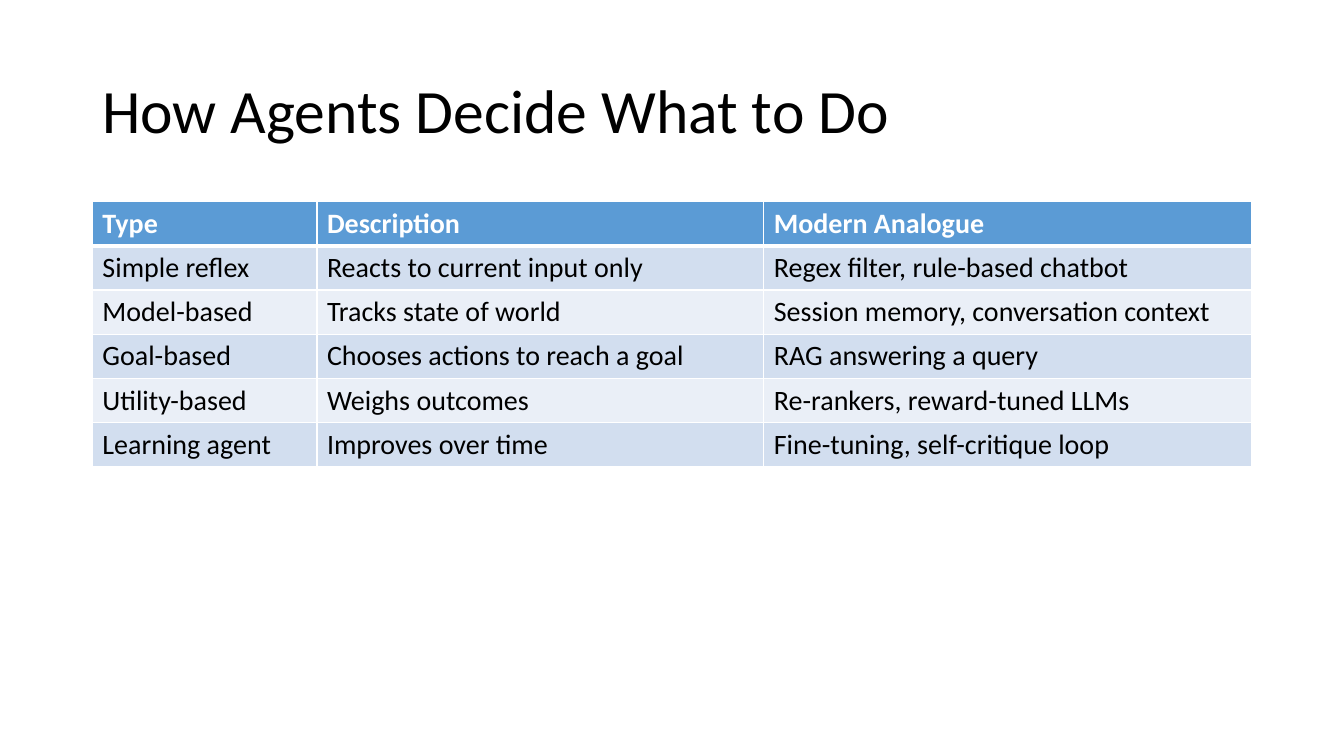
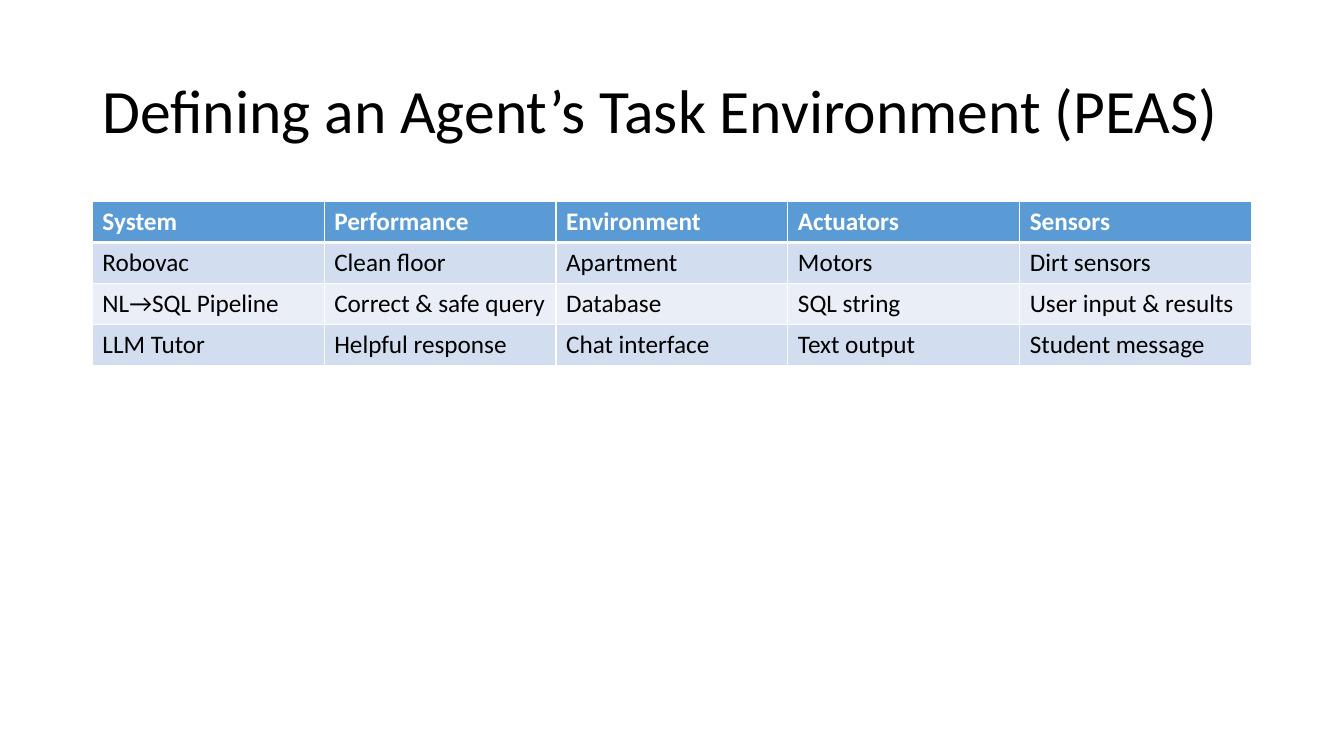
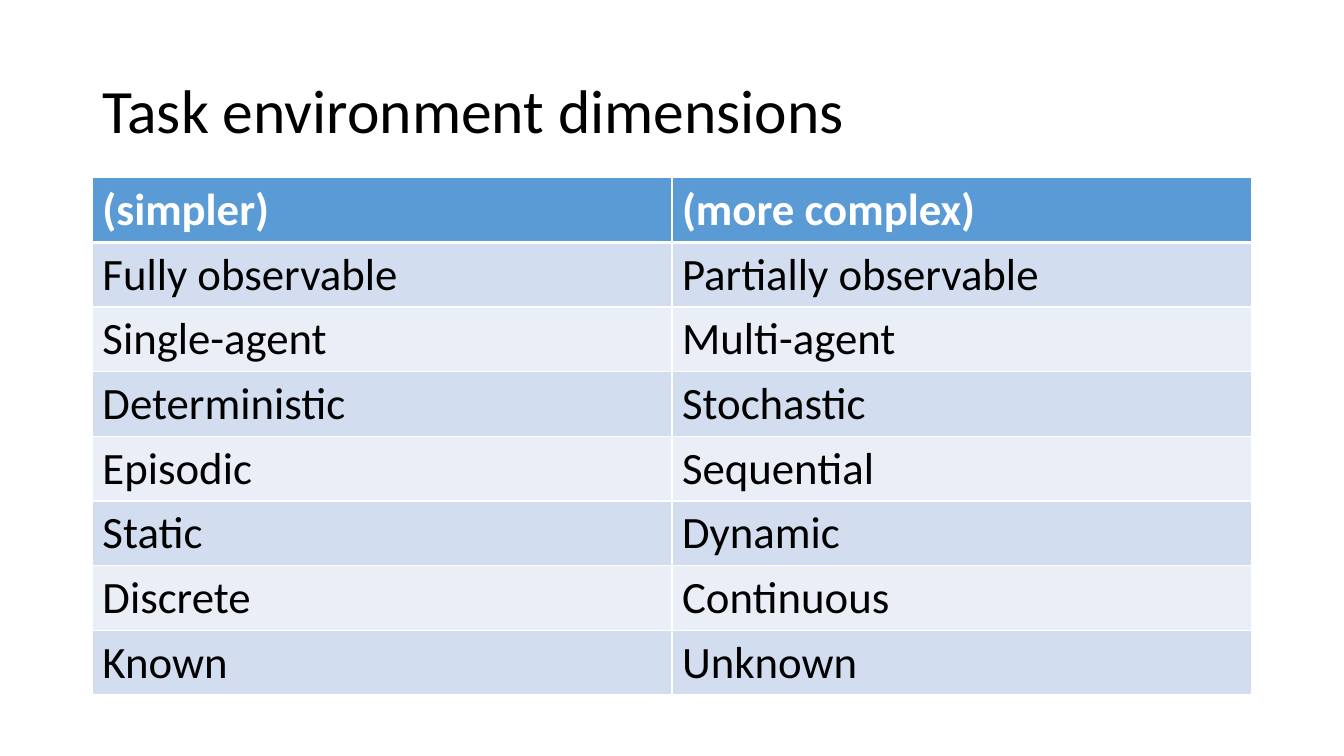
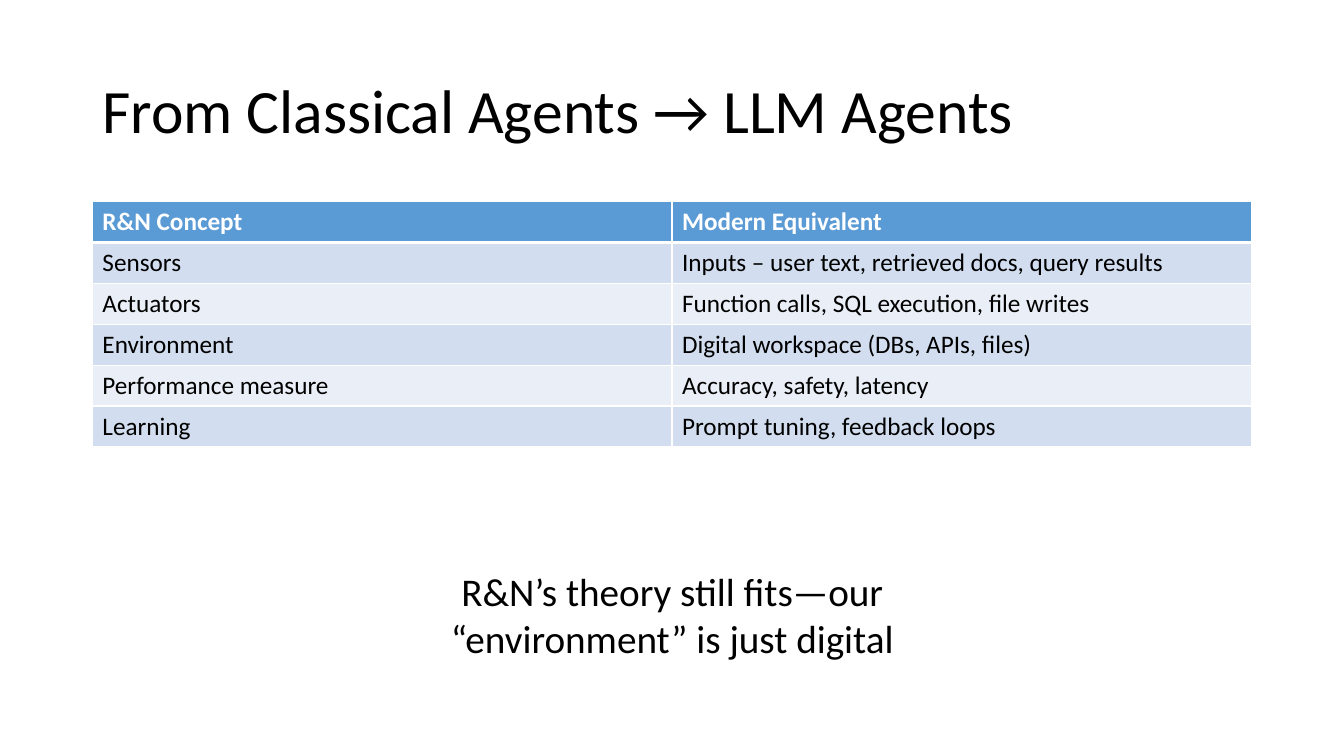
from pptx import Presentation
from pptx.dml.color import RGBColor
from pptx.enum import text
from pptx.oxml import ns, xmlchemy
from pptx.util import Pt

# Shared style
FONT = "Calibri"
BLACK, WHITE = "000000", "FFFFFF"
HEADER_FILL = "5B9BD5"
BAND_FILLS = ("D2DEEF", "EAEFF7")
MARGIN, CONTENT_WIDTH = 66, 828
TITLE_BOX = (MARGIN, 28.8, CONTENT_WIDTH, 104.4)
TABLE_TOP = 144

AGENT_TYPES = [
    ("Type", "Description", "Modern Analogue"),
    ("Simple reflex", "Reacts to current input only", "Regex filter, rule-based chatbot"),
    ("Model-based", "Tracks state of world", "Session memory, conversation context"),
    ("Goal-based", "Chooses actions to reach a goal", "RAG answering a query"),
    ("Utility-based", "Weighs outcomes", "Re-rankers, reward-tuned LLMs"),
    ("Learning agent", "Improves over time", "Fine-tuning, self-critique loop"),
]
PEAS = [
    ("System", "Performance", "Environment", "Actuators", "Sensors"),
    ("Robovac", "Clean floor", "Apartment", "Motors", "Dirt sensors"),
    ("NL→SQL Pipeline", "Correct & safe query", "Database", "SQL string", "User input & results"),
    ("LLM Tutor", "Helpful response", "Chat interface", "Text output", "Student message"),
]
DIMENSIONS = [
    ("(simpler)", "(more complex)"),
    ("Fully observable", "Partially observable"),
    ("Single-agent", "Multi-agent"),
    ("Deterministic", "Stochastic"),
    ("Episodic", "Sequential"),
    ("Static", "Dynamic"),
    ("Discrete", "Continuous"),
    ("Known", "Unknown"),
]
EQUIVALENTS = [
    ("R&N Concept", "Modern Equivalent"),
    ("Sensors", "Inputs – user text, retrieved docs, query results"),
    ("Actuators", "Function calls, SQL execution, file writes"),
    ("Environment", "Digital workspace (DBs, APIs, files)"),
    ("Performance measure", "Accuracy, safety, latency"),
    ("Learning", "Prompt tuning, feedback loops"),
]


def color(value):
    return RGBColor.from_string(value)


def style_paragraph(paragraph, size, font_color=BLACK, bold=False):
    font = paragraph.font
    font.name, font.size, font.bold = FONT, Pt(size), bold
    font.color.rgb = color(font_color)


def add_text(slide, box, content, size, anchor=text.MSO_ANCHOR.TOP):
    """Place one paragraph in a wrapping text box and return the paragraph."""
    frame = slide.shapes.add_textbox(*map(Pt, box)).text_frame
    frame.word_wrap = True
    frame.vertical_anchor = anchor
    paragraph = frame.paragraphs[0]
    paragraph.text = content
    style_paragraph(paragraph, size)
    return paragraph


def add_border(cell, side, width):
    properties = cell._tc.get_or_add_tcPr()
    line = xmlchemy.OxmlElement(f"a:ln{side}")
    line.set("w", str(Pt(width)))
    fill = xmlchemy.OxmlElement("a:solidFill")
    line_color = xmlchemy.OxmlElement("a:srgbClr")
    line_color.set("val", WHITE)
    fill.append(line_color)
    line.append(fill)
    properties.append(line)


def style_cell(cell, row_index, size, anchor):
    is_header = row_index == 0
    # The rule under the header is thicker than the others
    widths = {"L": 1, "R": 1, "T": 3 if row_index == 1 else 1, "B": 3 if is_header else 1}
    for side, width in widths.items():
        add_border(cell, side, width)
    cell.fill.solid()
    cell.fill.fore_color.rgb = color(HEADER_FILL if is_header else BAND_FILLS[(row_index - 1) % 2])
    cell.vertical_anchor = anchor
    style_paragraph(cell.text_frame.paragraphs[0], size, WHITE if is_header else BLACK, is_header)


def add_banded_table(slide, rows, size, top=TABLE_TOP, column_widths=None, anchor=text.MSO_ANCHOR.MIDDLE):
    """Place a table whose row height follows from the text size."""
    row_height = round(size * 1.22 + 7.2, 1)
    column_count = len(rows[0])
    column_widths = column_widths or [CONTENT_WIDTH / column_count] * column_count
    table = slide.shapes.add_table(
        len(rows), column_count, Pt(MARGIN), Pt(top), Pt(CONTENT_WIDTH), Pt(row_height * len(rows))
    ).table
    for column, width in zip(table.columns, column_widths):
        column.width = Pt(width)
    for row_index, values in enumerate(rows):
        table.rows[row_index].height = Pt(row_height)
        for column_index, value in enumerate(values):
            cell = table.cell(row_index, column_index)
            cell.text = value
            style_cell(cell, row_index, size, anchor)


def add_titled_slide(presentation, title):
    slide = presentation.slides.add_slide(presentation.slide_layouts[6])
    paragraph = add_text(slide, TITLE_BOX, title, 44, text.MSO_ANCHOR.MIDDLE)
    paragraph.line_spacing = 0.9
    return slide


def main():
    presentation = Presentation()
    presentation.slide_width, presentation.slide_height = Pt(960), Pt(540)

    # Agent types
    slide = add_titled_slide(presentation, "How Agents Decide What to Do")
    add_banded_table(slide, AGENT_TYPES, 20, column_widths=(160.4, 319.2, 348.4))

    # Task environment
    slide = add_titled_slide(presentation, "Defining an Agent’s Task Environment (PEAS)")
    add_banded_table(slide, PEAS, 18)

    # Environment dimensions
    slide = add_titled_slide(presentation, "Task environment dimensions")
    add_banded_table(slide, DIMENSIONS, 32, top=127, anchor=text.MSO_ANCHOR.TOP)

    # Classical concepts and their modern equivalents
    slide = add_titled_slide(presentation, "From Classical Agents → LLM Agents")
    add_banded_table(slide, EQUIVALENTS, 18)
    closing = add_text(
        slide, (296.6, 401.8, 367.2, 75), "R&N’s theory still fits—our “environment” is just digital", 28
    )
    closing.alignment = text.PP_ALIGN.CENTER

    presentation.save("out.pptx")


if __name__ == "__main__":
    main()
